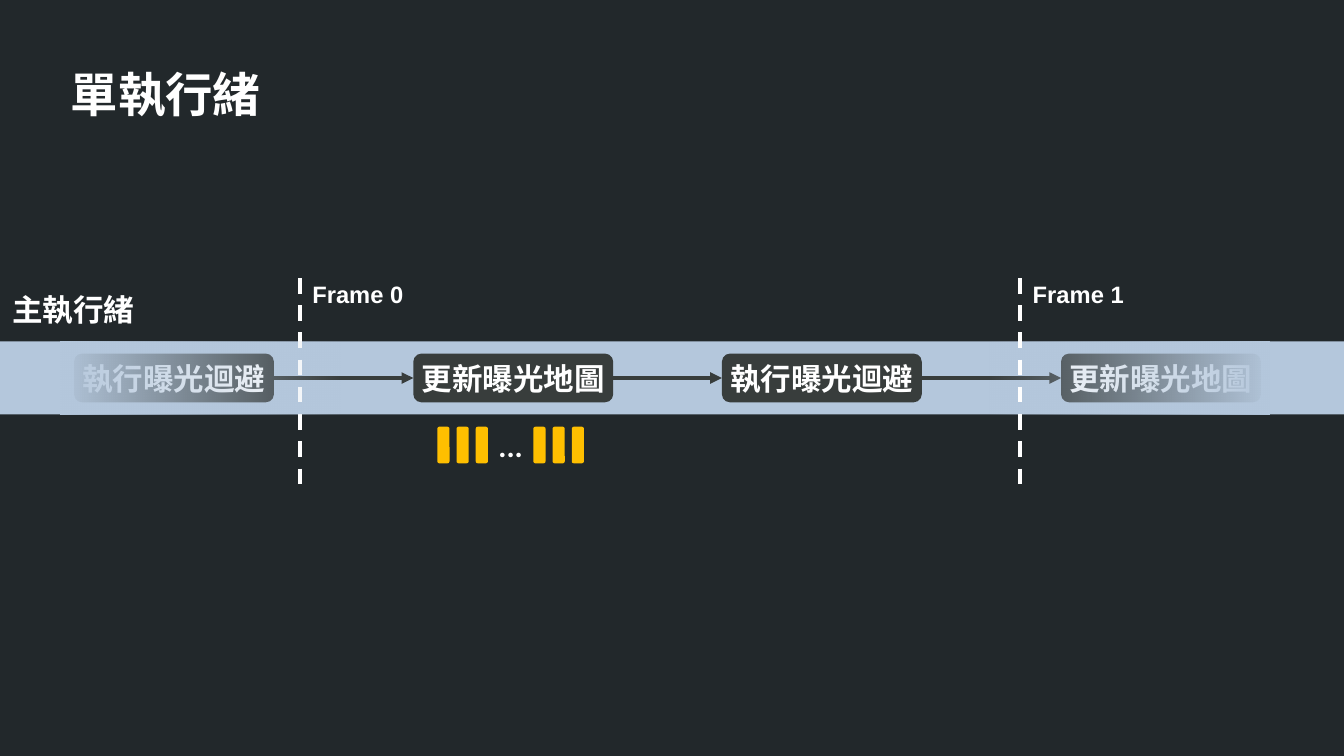
from pptx import Presentation
from pptx.dml.color import RGBColor
from pptx.enum.dml import MSO_LINE
from pptx.enum.shapes import MSO_CONNECTOR, MSO_SHAPE
from pptx.enum.text import MSO_ANCHOR, MSO_AUTO_SIZE, PP_ALIGN
from pptx.oxml.ns import qn
from pptx.util import Pt
from lxml.etree import SubElement

BACKGROUND = RGBColor(0x22, 0x28, 0x2B)
BAND = RGBColor(0xB4, 0xC7, 0xDC)
TASK = RGBColor(0x38, 0x3D, 0x3C)
BAR = RGBColor(0xFF, 0xBF, 0x00)
WHITE = RGBColor(0xFF, 0xFF, 0xFF)

SLIDE_WIDTH, SLIDE_HEIGHT = 793.44, 446.4
BAND_TOP, BAND_HEIGHT = 201.6, 43.2
TASK_WIDTH, TASK_HEIGHT = 118, 28.8
RIGHT, LEFT = 3, 1


def write(text_frame, text, size, font="Calibri", align=PP_ALIGN.LEFT, wrap=True):
    text_frame.text = text
    text_frame.word_wrap = wrap
    paragraph = text_frame.paragraphs[0]
    paragraph.alignment = align
    for run in paragraph.runs:
        run.font.name = font
        run.font.size = Pt(size)
        run.font.bold = True
        run.font.color.rgb = WHITE


def add_label(slide, text, left, top, width, height, size):
    box = slide.shapes.add_textbox(Pt(left), Pt(top), Pt(width), Pt(height))
    write(box.text_frame, text, size, "Arial")


def add_block(slide, kind, left, top, width, height, color):
    shape = slide.shapes.add_shape(kind, Pt(left), Pt(top), Pt(width), Pt(height))
    shape.shadow.inherit = False
    shape.line.fill.background()
    shape.fill.solid()
    shape.fill.fore_color.rgb = color
    return shape


def add_line(slide, start, end, color):
    line = slide.shapes.add_connector(MSO_CONNECTOR.STRAIGHT, *map(Pt, start + end))
    line.line.color.rgb = color
    line.line.width = Pt(2.3)
    SubElement(line._element.spPr, qn("a:effectLst"))
    return line


def add_title(slide, text, left, top, width, height):
    title = slide.shapes.title
    title.left, title.top, title.width, title.height = map(Pt, (left, top, width, height))
    write(title.text_frame, text, 28)
    title.text_frame.auto_size = MSO_AUTO_SIZE.NONE
    title.text_frame.vertical_anchor = MSO_ANCHOR.TOP


def add_tasks(slide, tasks, band_top):
    top = band_top + (BAND_HEIGHT - TASK_HEIGHT) / 2
    blocks = []
    for left, text in tasks:
        block = add_block(slide, MSO_SHAPE.ROUNDED_RECTANGLE, left, top,
                          TASK_WIDTH, TASK_HEIGHT, TASK)
        write(block.text_frame, text, 18, align=PP_ALIGN.CENTER, wrap=False)
        block.text_frame.vertical_anchor = MSO_ANCHOR.MIDDLE
        blocks.append(block)
    for source, target in zip(blocks, blocks[1:]):
        arrow = add_line(slide, (0, 0), (0, 0), TASK)
        arrow.begin_connect(source, RIGHT)
        arrow.end_connect(target, LEFT)
        SubElement(arrow.line._get_or_add_ln(), qn("a:tailEnd"), type="triangle")


def add_fade(slide, left, top, width, angle):
    fade = add_block(slide, MSO_SHAPE.RECTANGLE, left, top, width, BAND_HEIGHT, BAND)
    fade.fill.gradient()
    fade.fill.gradient_angle = angle
    for stop in fade.fill.gradient_stops:
        stop.color.rgb = BAND
    clear_color = fade._element.spPr.findall(".//" + qn("a:srgbClr"))[-1]
    SubElement(clear_color, qn("a:alpha"), val="0")


def add_frame_marker(slide, text, left, top, height):
    line = add_line(slide, (left, top), (left, top + height), WHITE)
    line.line.dash_style = MSO_LINE.DASH
    add_label(slide, text, left + 0.2, top - 2.6, 68.4, 23, 14)


def add_bars(slide, left, top, height):
    bar_width, pitch, slots = 7.2, 11.34, 8
    for slot in (0, 1, 2, 5, 6, 7):
        add_block(slide, MSO_SHAPE.ROUNDED_RECTANGLE, left + slot * pitch, top,
                  bar_width, height, BAR)
    dots_left = left + 2 * pitch + bar_width
    dots = slide.shapes.add_textbox(Pt(dots_left), Pt(top),
                                    Pt(3 * pitch - bar_width), Pt(height))
    frame = dots.text_frame
    write(frame, "...", 18, align=PP_ALIGN.CENTER, wrap=False)
    frame.margin_left = frame.margin_right = 0
    frame.vertical_anchor = MSO_ANCHOR.MIDDLE


def add_timeline(slide, top):
    add_block(slide, MSO_SHAPE.RECTANGLE, 0, top, SLIDE_WIDTH, BAND_HEIGHT, BAND)
    add_label(slide, "主執行緒", 0.3, top - 33.1, 86.4, 31, 18)
    add_tasks(slide, [(43.7, "執行曝光迴避"), (244, "更新曝光地圖"),
                      (426.2, "執行曝光迴避"), (626.4, "更新曝光地圖")], top)
    add_fade(slide, 583.2, top, 166.3, 180)
    for text, left in (("Frame 0", 177.1), ("Frame 1", 602.4)):
        add_frame_marker(slide, text, left, top - 37.4, 122.4)
    add_fade(slide, 36, top, 165.6, 0)
    add_bars(slide, 258.2, top + 50.4, 21.6)


def main():
    presentation = Presentation()
    presentation.slide_width = Pt(SLIDE_WIDTH)
    presentation.slide_height = Pt(SLIDE_HEIGHT)
    slide = presentation.slides.add_slide(presentation.slide_layouts[5])
    slide.background.fill.solid()
    slide.background.fill.fore_color.rgb = BACKGROUND
    add_title(slide, "單執行緒", 34.6, 34.6, 316.8, 66.2)
    add_timeline(slide, BAND_TOP)
    presentation.save("out.pptx")


if __name__ == "__main__":
    main()
